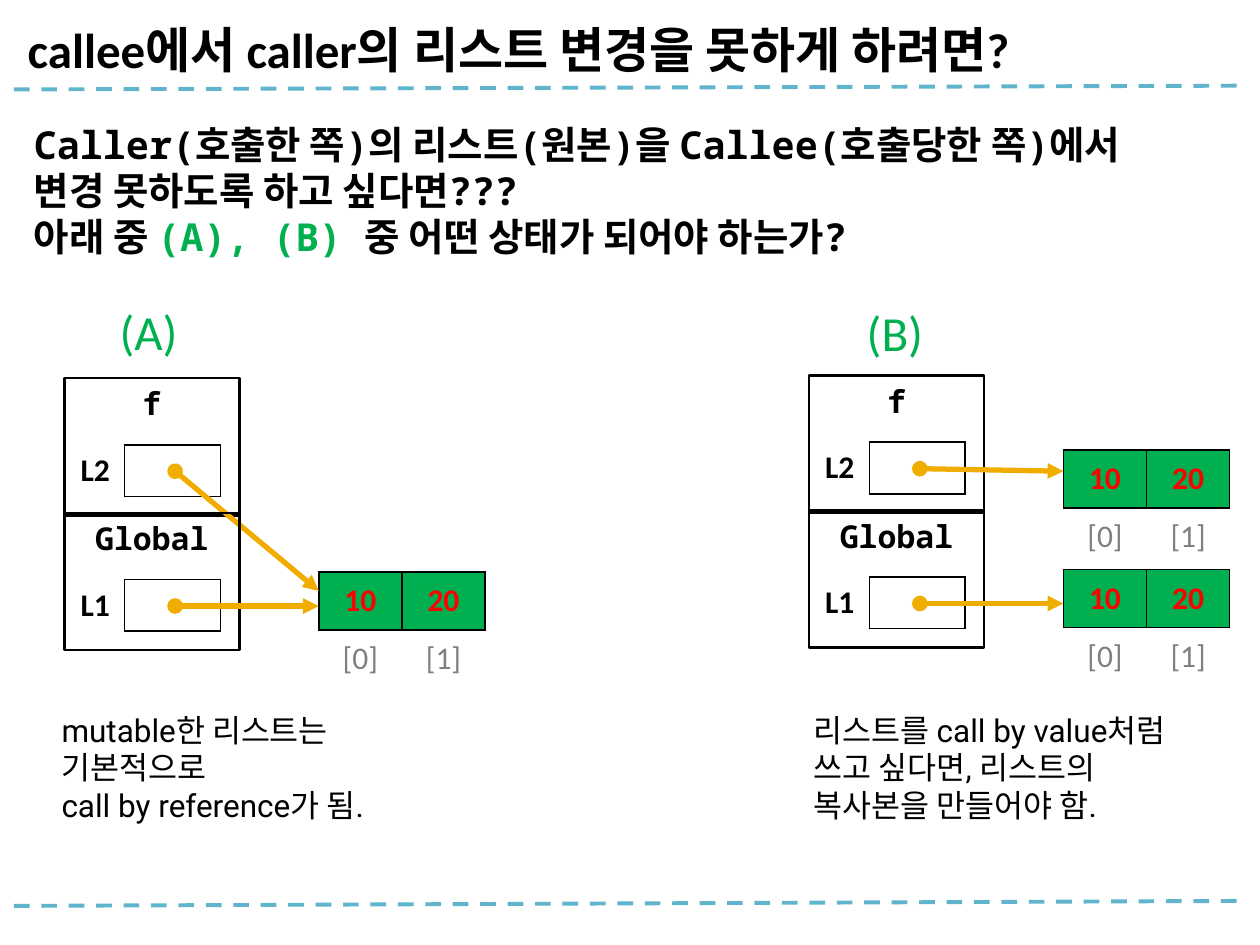
from lxml import etree
from pptx import Presentation
from pptx.dml.color import RGBColor
from pptx.enum.dml import MSO_LINE
from pptx.enum.shapes import MSO_CONNECTOR, MSO_SHAPE
from pptx.enum.text import MSO_ANCHOR, PP_ALIGN
from pptx.oxml.ns import qn
from pptx.util import Inches, Pt

# Content
BLACK, GREEN, RED, GRAY = "000000", "00B050", "FF0000", "808080"
GOLD, BLUE = "F0AD00", "60B5CC"
TITLE = "callee에서 caller의 리스트 변경을 못하게 하려면?"
QUESTION = [
    [("Caller(호출한 쪽)의 리스트(원본)을 Callee(호출당한 쪽)에서", BLACK)],
    [("변경 못하도록 하고 싶다면???", BLACK)],
    [("아래 중 ", BLACK), ("(A), (B) ", GREEN),
     ("중 어떤 상태가 되어야 하는가?", BLACK)],
]
LIST = [["10", "20"], ["[0]", "[1]"]]
FRAMES = [("f", "L2", 3.0), ("Global", "L1", 4.07)]
# Each panel: shift, list tops, and the end height of each arrow
PANELS = [
    {"shift": (0, 0), "lists": [4.54], "ends": [4.69, 4.81]},
    {"shift": (5.91, -0.02), "lists": [3.59, 4.54], "ends": [3.76, 4.81]},
]
NOTES = [
    ("(A)", (0.85, 2.34, 0.72, 0.57),
     (0.39, 5.59, 3.44, 0.71),
     ["mutable한 리스트는 기본적으로", "call by reference가 됨."]),
    ("(B)", (6.78, 2.35, 0.68, 0.57),
     (6.36, 5.59, 3.01, 1.01),
     ["리스트를 call by value처럼", "쓰고 싶다면, 리스트의", "복사본을 만들어야 함."]),
]
HEAD = {"name": "Calibri", "size": Pt(28), "bold": True}
MARK = {"name": "Calibri", "size": Pt(28), "bold": False}
ASK = {"name": "Noto Sans Mono", "size": Pt(22), "bold": True}
CODE = {"name": "Noto Sans Mono", "size": Pt(18), "bold": True}
CELL = {"name": "Calibri", "size": Pt(18), "bold": True}
INDEX = {"name": "Calibri", "size": Pt(18), "bold": False}
BODY = {"name": "Roboto", "size": Pt(18), "bold": False}


def rgb(code):
    return RGBColor.from_string(code)


def write(frame, lines, form, align=PP_ALIGN.LEFT):
    """Fill a text frame with lines of (text, colour) runs."""
    frame.word_wrap = True
    for n, line in enumerate(lines):
        para = frame.add_paragraph() if n else frame.paragraphs[0]
        para.alignment = align
        for text, color in line:
            run = para.add_run()
            run.text = text
            for key, value in form.items():
                setattr(run.font, key, value)
            run.font.color.rgb = rgb(color)


def add_text(slide, spot, lines, form):
    box = slide.shapes.add_textbox(*map(Inches, spot))
    write(box.text_frame, lines, form)


def add_line(slide, start, end, color, width, arrow=False):
    line = slide.shapes.add_connector(
        MSO_CONNECTOR.STRAIGHT, *map(Inches, (*start, *end)))
    line.line.color.rgb = rgb(color)
    line.line.width = Pt(width)
    if arrow:
        ln = line.line._get_or_add_ln()
        etree.SubElement(ln, qn("a:headEnd"), type="oval")
        etree.SubElement(ln, qn("a:tailEnd"), type="triangle")
    else:
        line.line.dash_style = MSO_LINE.DASH
    etree.SubElement(line._element.spPr, qn("a:effectLst"))


def add_grid(slide, left, top, cols, rows):
    shape = slide.shapes.add_table(
        len(rows), len(cols), Inches(left), Inches(top), Inches(sum(cols)),
        Inches(sum(rows)))
    grid = shape.table
    grid.first_row = grid.horz_banding = False
    for col, width in zip(grid.columns, cols):
        col.width = Inches(width)
    for row, height in zip(grid.rows, rows):
        row.height = Inches(height)
    return grid


def style(cell, text, form, color, edges, fill=None):
    """Set a cell's text, its black edges (from L, R, T, B) and its fill."""
    props = cell._tc.get_or_add_tcPr()
    for side in "LRTB":
        ln = etree.SubElement(props, qn("a:ln" + side), w=str(Pt(1)))
        if side in edges:
            paint = etree.SubElement(ln, qn("a:solidFill"))
            etree.SubElement(paint, qn("a:srgbClr"), val=BLACK)
        else:
            etree.SubElement(ln, qn("a:noFill"))
    if fill:
        cell.fill.solid()
        cell.fill.fore_color.rgb = rgb(fill)
    else:
        cell.fill.background()
    for side in ("left", "right", "top", "bottom"):
        setattr(cell, "margin_" + side, 0)
    cell.vertical_anchor = MSO_ANCHOR.MIDDLE
    if text:
        write(cell.text_frame, [[(text, color)]], form, PP_ALIGN.CENTER)


def add_list(slide, left, top):
    grid = add_grid(slide, left, top, [0.66] * 2, [0.46] * 2)
    for n, (value, index) in enumerate(zip(*LIST)):
        style(grid.cell(0, n), value, CELL, RED, "LRTB", GREEN)
        style(grid.cell(1, n), index, INDEX, GRAY, "T")


def add_frame(slide, left, top, name, label):
    box = slide.shapes.add_shape(
        MSO_SHAPE.RECTANGLE, *map(Inches, (left, top, 1.39, 1.09)))
    box.shadow.inherit = False
    box.fill.background()
    box.line.color.rgb = rgb(BLACK)
    box.line.width = Pt(1.5)
    box.text_frame.vertical_anchor = MSO_ANCHOR.TOP
    write(box.text_frame, [[(name, BLACK)]], CODE, PP_ALIGN.CENTER)
    grid = add_grid(slide, left + 0.01, top + 0.53, [0.47, 0.76], [0.41])
    style(grid.cell(0, 0), label, CELL, BLACK, "R")
    style(grid.cell(0, 1), "", CELL, BLACK, "LRTB")


def add_panel(slide, shift, lists, ends):
    dx, dy = shift
    for top in lists:
        add_list(slide, 2.53 + dx, top + dy)
    for (name, label, top), end in zip(FRAMES, ends):
        add_frame(slide, 0.51 + dx, top + dy, name, label)
        add_line(slide, (1.39 + dx, top + 0.74 + dy), (2.53 + dx, end + dy),
                 GOLD, 3, arrow=True)


def main():
    deck = Presentation()
    deck.slide_width, deck.slide_height = Inches(10), Inches(7.5)
    slide = deck.slides.add_slide(deck.slide_layouts[5])

    # Title and dashed rules
    title = slide.shapes.title
    title.left, title.top, title.width, title.height = map(
        Inches, (0.12, 0, 9.76, 0.67))
    title.text_frame.vertical_anchor = MSO_ANCHOR.BOTTOM
    write(title.text_frame, [[(TITLE, BLACK)]], HEAD)
    for left, right in ((0.71, 0.68), (7.19, 7.15)):
        add_line(slide, (0.11, left), (9.87, right), BLUE, 2.25)

    # Memory diagrams
    for panel in PANELS:
        add_panel(slide, **panel)

    # Question, marks and notes
    add_text(slide, (0.17, 0.91, 9.67, 1.21), QUESTION, ASK)
    for mark, spot, place, lines in NOTES:
        add_text(slide, spot, [[(mark, GREEN)]], MARK)
        add_text(slide, place, [[(line, BLACK)] for line in lines], BODY)
    deck.save("out.pptx")


if __name__ == "__main__":
    main()
